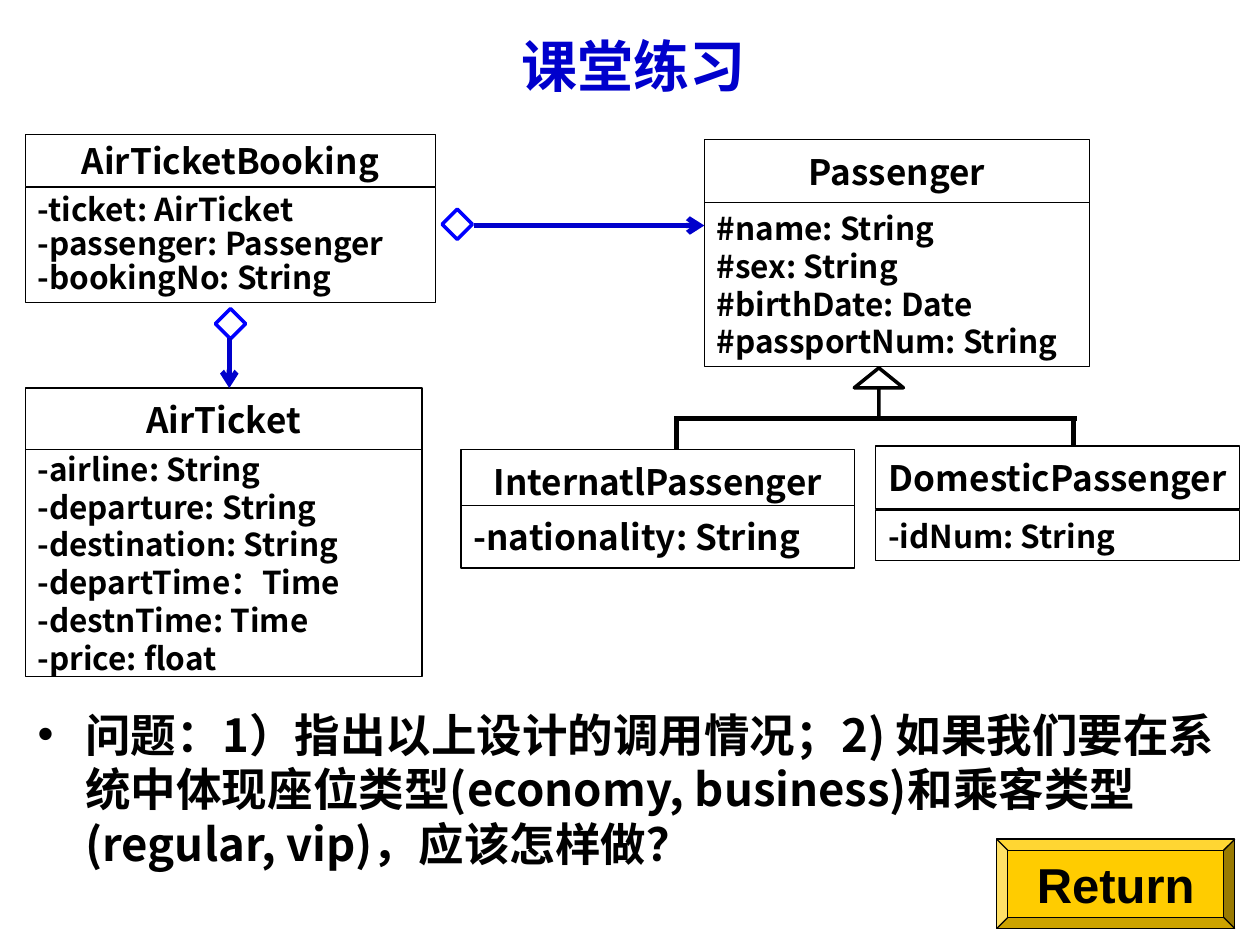
from lxml.etree import SubElement
from pptx import Presentation
from pptx.dml.color import RGBColor
from pptx.enum.shapes import MSO_CONNECTOR as Link, MSO_SHAPE as Shape
from pptx.enum.text import MSO_ANCHOR as Anchor, MSO_AUTO_SIZE as AutoSize, PP_ALIGN as Align
from pptx.oxml.ns import qn
from pptx.util import Inches, Pt

BLACK = RGBColor(0x00, 0x00, 0x00)
WHITE = RGBColor(0xFF, 0xFF, 0xFF)
NAVY = RGBColor(0x00, 0x00, 0xCC)
BLUE = RGBColor(0x00, 0x00, 0xFF)
GOLD = RGBColor(0xFF, 0xCC, 0x00)
FONT = "Noto Sans CJK SC"


class ClassDiagram:
    font = {"name": FONT, "bold": True}
    frame = {"word_wrap": True, "auto_size": AutoSize.NONE, "vertical_anchor": Anchor.MIDDLE,
             "margin_left": Inches(0.1), "margin_right": Inches(0.1),
             "margin_top": Inches(0.05), "margin_bottom": Inches(0.05)}

    def __init__(self, page):
        self.page = page

    def apply(self, target, values):
        for name, value in values.items():
            setattr(target, name, value)

    def fill_text(self, box, lines, size, align=Align.LEFT, color=BLACK, leading=1.2, font=FONT,
                  **frame):
        self.apply(box.text_frame, {**self.frame, **frame})
        for index, line in enumerate(lines):
            paras = box.text_frame.paragraphs
            para = box.text_frame.add_paragraph() if index else paras[0]
            self.apply(para, {"alignment": align, "line_spacing": Pt(round(size * leading, 1)),
                              "space_before": Pt(0)})
            span = para.add_run()
            span.text = line
            self.apply(span.font, {**self.font, "name": font, "size": Pt(size)})
            span.font.color.rgb = color
            SubElement(span.font._element, qn("a:ea"), typeface=font)

    def title(self, text, *place):
        box = self.page.shapes.title
        self.apply(box, dict(zip(("left", "top", "width", "height"), map(Inches, place))))
        self.fill_text(box, [text], 32, Align.CENTER, NAVY)

    def question(self, text, *place):
        box = self.page.shapes.add_textbox(*map(Inches, place))
        properties = box.text_frame.paragraphs[0]._p.get_or_add_pPr()
        properties.set("marL", str(Inches(0.38)))
        properties.set("indent", str(-Inches(0.38)))
        SubElement(properties, qn("a:buFont"), typeface="Arial")
        SubElement(properties, qn("a:buChar"), char="•")
        self.fill_text(box, [text], 26, vertical_anchor=Anchor.TOP)

    def shape(self, kind, *place, fill=WHITE, line=BLACK, weight=0.75):
        box = self.page.shapes.add_shape(kind, *map(Inches, place))
        box.shadow.inherit = False
        if fill is None:
            box.fill.background()
        else:
            box.fill.solid()
            box.fill.fore_color.rgb = fill
        box.line.color.rgb = line
        box.line.width = Pt(weight)
        return box

    def uml_class(self, name, fields, left, width, head, body, size=18, leading=1.2):
        header = self.shape(Shape.RECTANGLE, left, head[0], width, head[1])
        self.fill_text(header, [name], 20, Align.CENTER, word_wrap=False)
        members = self.shape(Shape.RECTANGLE, left, body[0], width, body[1])
        self.fill_text(members, fields, size, leading=leading)

    def line(self, *ends, color=BLACK, arrow=False):
        link = self.page.shapes.add_connector(Link.STRAIGHT, *map(Inches, ends))
        link.line.color.rgb = color
        link.line.width = Pt(3)
        if arrow:
            SubElement(link.line._get_or_add_ln(), qn("a:tailEnd"), type="arrow")
        SubElement(link._element.spPr, qn("a:effectLst"))

    def diamond(self, left, top):
        self.shape(Shape.DIAMOND, left, top, 0.24, 0.24, line=BLUE, weight=2)

    def inheritance(self, left, top, size):
        arrow = self.shape(Shape.DOWN_ARROW, left, top, size, size, fill=None, weight=2)
        arrow.rotation = 180
        arrow.adjustments[0] = 0
        arrow.adjustments[1] = 0.404

    def button(self, text, *place):
        box = self.shape(Shape.BEVEL, *place, fill=GOLD)
        box.adjustments[0] = 0.125
        self.fill_text(box, [text], 28, Align.CENTER, font="Arial", word_wrap=False)


def main():
    deck = Presentation()
    deck.slide_width, deck.slide_height = Inches(10), Inches(7.5)
    diagram = ClassDiagram(deck.slides.add_slide(deck.slide_layouts[5]))

    diagram.title("课堂练习", 2.93, 0.21, 4.2, 0.61)
    diagram.question(
        "问题：1）指出以上设计的调用情况；2) 如果我们要在系统中体现座位类型"
        "(economy, business)和乘客类型(regular, vip)，应该怎样做？",
        0.2, 5.56, 9.64, 1.63)

    diagram.uml_class(
        "Passenger",
        ["#name: String", "#sex: String", "#birthDate: Date", "#passportNum: String"],
        5.59, 3.06, (1.11, 0.5), (1.61, 1.3))
    diagram.line(5.35, 3.32, 8.55, 3.32)
    diagram.line(5.37, 3.32, 5.37, 3.69)
    diagram.line(8.52, 3.32, 8.52, 3.71)
    diagram.inheritance(6.78, 2.92, 0.39)

    diagram.uml_class(
        "AirTicketBooking",
        ["-ticket: AirTicket", "-passenger: Passenger", "-bookingNo: String"],
        0.2, 3.26, (1.07, 0.41), (1.49, 0.91), leading=1.08)
    diagram.uml_class(
        "AirTicket",
        ["-airline: String", "-departure: String", "-destination: String",
         "-departTime：Time", "-destnTime: Time", "-price: float"],
        0.2, 3.15, (3.08, 0.5), (3.57, 1.8))
    diagram.line(3.76, 1.79, 5.59, 1.79, color=NAVY, arrow=True)
    diagram.diamond(3.51, 1.66)
    diagram.diamond(1.71, 2.45)
    diagram.line(1.82, 2.68, 1.82, 3.08, color=NAVY, arrow=True)

    diagram.uml_class("DomesticPassenger", ["-idNum: String"],
                      6.95, 2.89, (3.54, 0.5), (4.05, 0.4))
    diagram.uml_class("InternatlPassenger", ["-nationality: String"],
                      3.66, 3.12, (3.57, 0.5), (4.01, 0.5), size=20)
    diagram.button("Return", 7.91, 6.66, 1.89, 0.71)

    deck.save("out.pptx")


if __name__ == "__main__":
    main()
